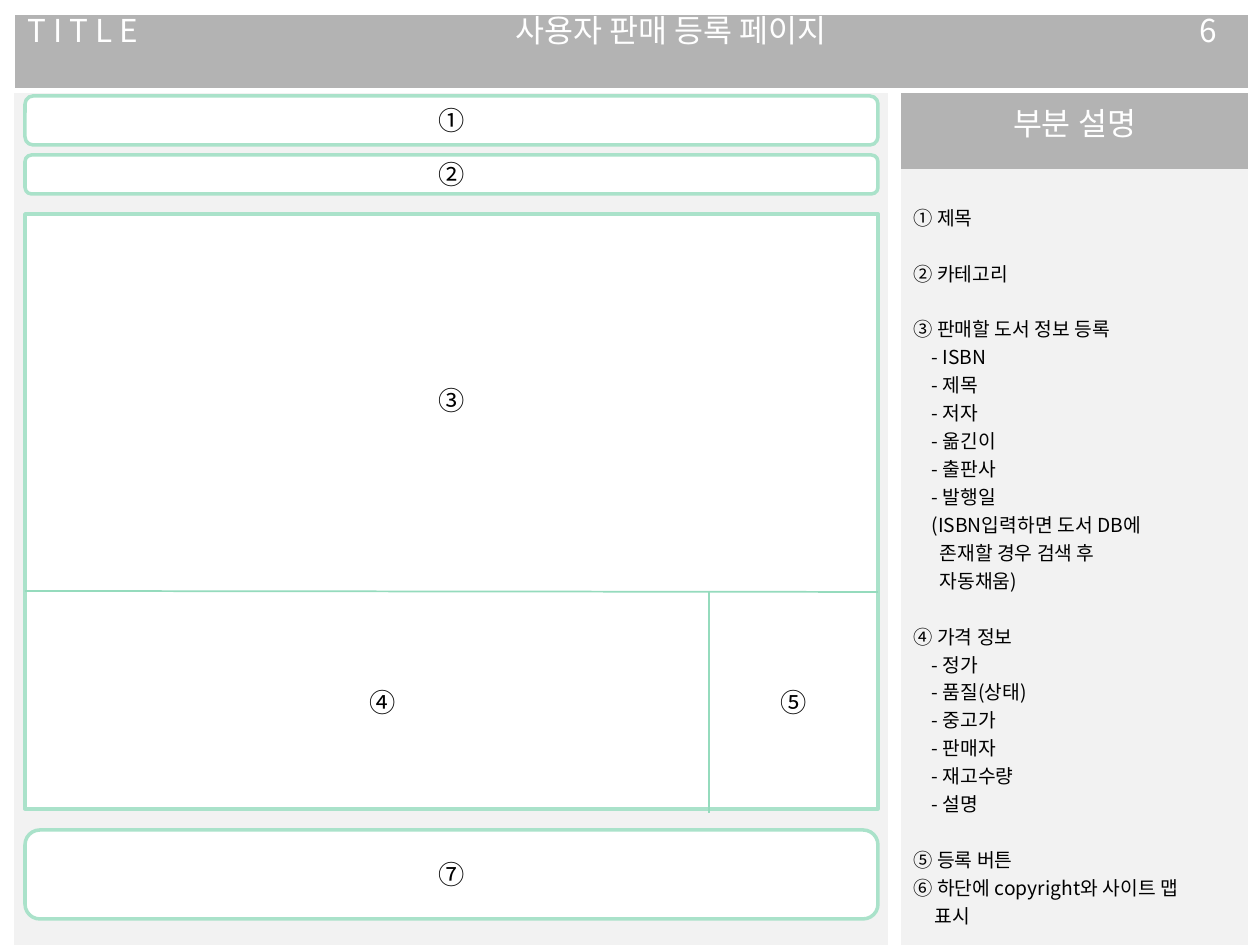
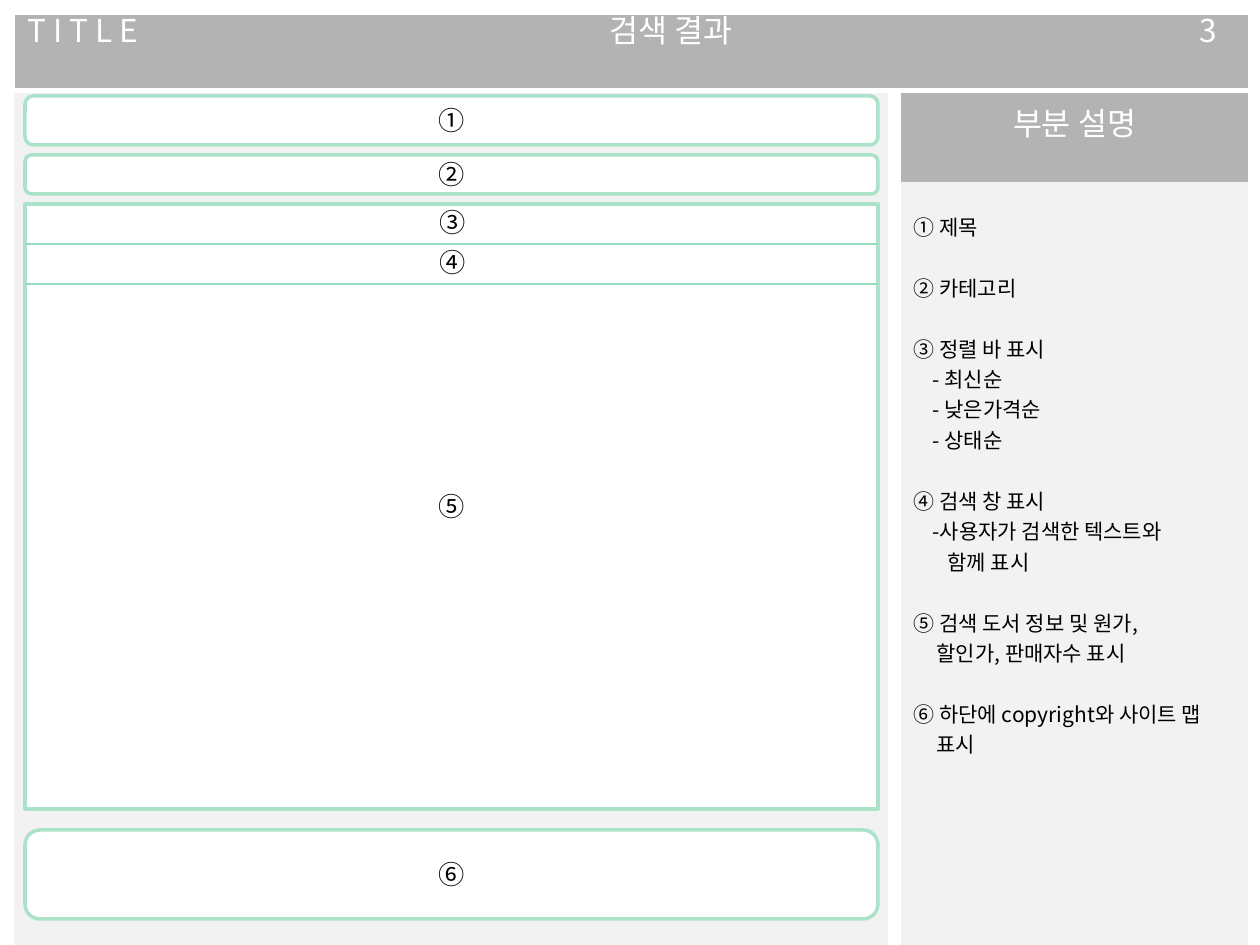
from pptx import Presentation
from pptx.dml.color import RGBColor
from pptx.enum.shapes import MSO_CONNECTOR, MSO_SHAPE
from pptx.enum.text import MSO_ANCHOR, PP_ALIGN
from pptx.oxml.ns import qn
from pptx.util import Emu, Pt
from lxml.etree import SubElement

PX = 914400 / 126
FONT = "Noto Sans CJK KR"
NO_STYLE = "{2D5ABB26-0587-4C30-8999-92F81FD0307C}"
LINE_HEIGHT = 1.45

WHITE = RGBColor(0xFF, 0xFF, 0xFF)
BLACK = RGBColor(0x00, 0x00, 0x00)
BAND = RGBColor(0xB3, 0xB3, 0xB3)
PANEL = RGBColor(0xF2, 0xF2, 0xF2)
MINT = RGBColor(0xAA, 0xE2, 0xCA)
DIVIDER = RGBColor(0x95, 0xDB, 0xBD)

FRAME_LEFT, FRAME_WIDTH = 25, 853
FRAME_RIGHT = FRAME_LEFT + FRAME_WIDTH
FRAME_BOTTOM = 809
PANEL_TOP = 93

REGISTER_NOTES = [
    ["① 제목"],
    ["② 카테고리"],
    ["③ 판매할 도서 정보 등록", (18, "- ISBN"), (18, "- 제목"), (18, "- 저자"),
     (18, "- 옮긴이"), (18, "- 출판사"), (18, "- 발행일"),
     (18, "(ISBN입력하면 도서 DB에"), (26, "존재할 경우 검색 후"), (26, "자동채움)")],
    ["④ 가격 정보", (18, "- 정가"), (18, "- 품질(상태)"), (18, "- 중고가"),
     (18, "- 판매자"), (18, "- 재고수량"), (18, "- 설명")],
    ["⑤ 등록 버튼", "⑥ 하단에 copyright와 사이트 맵", (21, "표시")],
]
SEARCH_NOTES = [
    ["① 제목"],
    ["② 카테고리"],
    ["③ 정렬 바 표시", (19, "- 최신순"), (19, "- 낮은가격순"), (19, "- 상태순")],
    ["④ 검색 창 표시", (19, "-사용자가 검색한 텍스트와"), (34, "함께 표시")],
    ["⑤ 검색 도서 정보 및 원가,", (23, "할인가, 판매자수 표시")],
    ["⑥ 하단에 copyright와 사이트 맵", (23, "표시")],
]


def px(n):
    return Emu(round(n * PX))


def set_text(p, text, size, color, align=PP_ALIGN.CENTER):
    p.text = text
    p.alignment = align
    f = p.font
    f.size, f.name, f.bold = Pt(size), FONT, False
    f.color.rgb = color
    SubElement(p._p.pPr.find(qn("a:defRPr")), qn("a:ea"), typeface=FONT)


def add_grid(s, x, y, cols, rows, fills):
    shape = s.shapes.add_table(len(rows), len(cols), px(x), px(y),
                               px(sum(cols)), px(sum(rows)))
    table = shape.table
    table.first_row = table.horz_banding = False
    table._tbl.tblPr.find(qn("a:tableStyleId")).text = NO_STYLE
    for column, width in zip(table.columns, cols):
        column.width = px(width)
    for row, height, fill in zip(table.rows, rows, fills):
        row.height = px(height)
        for cell in row.cells:
            cell.fill.solid()
            cell.fill.fore_color.rgb = fill
    return table


def add_header(s, title, number):
    table = add_grid(s, 15, 15, [159, 995, 79], [73], [BAND])
    aligns = [PP_ALIGN.LEFT, PP_ALIGN.CENTER, PP_ALIGN.CENTER]
    for cell, text, align in zip(table.rows[0].cells, ["T I T L E", title, number], aligns):
        p = cell.text_frame.paragraphs[0]
        set_text(p, text, 18, WHITE, align)
        p.line_spacing = 0.58


def add_notes_panel(s, groups, size, rows, top_margin):
    table = add_grid(s, 901, PANEL_TOP, [347], rows, [BAND, PANEL])
    set_text(table.cell(0, 0).text_frame.paragraphs[0], "부분 설명", 18, WHITE)
    cell = table.cell(1, 0)
    cell.margin_top = px(top_margin)
    tf = cell.text_frame
    p = tf.paragraphs[0]
    for g, group in enumerate(groups):
        for i, line in enumerate(group):
            if g or i:
                p = tf.add_paragraph()
            indent, text = line if isinstance(line, tuple) else (0, line)
            set_text(p, text, size, BLACK, PP_ALIGN.LEFT)
            p._p.pPr.set("marL", str(px(indent)))
            p._p.pPr.set("indent", "0")
            if g and not i:
                p.space_before = Pt(round(size * LINE_HEIGHT, 1))


def add_frame(s, y, h, label=None, kind=MSO_SHAPE.ROUNDED_RECTANGLE):
    sp = s.shapes.add_shape(kind, px(FRAME_LEFT), px(y), px(FRAME_WIDTH), px(h))
    sp.shadow.inherit = False
    sp.fill.solid()
    sp.fill.fore_color.rgb = WHITE
    sp.line.color.rgb = MINT
    sp.line.width = Pt(2)
    if label:
        sp.text_frame.vertical_anchor = MSO_ANCHOR.MIDDLE
        set_text(sp.text_frame.paragraphs[0], label, 15, BLACK)


def add_divider(s, x1, y1, x2, y2):
    line = s.shapes.add_connector(MSO_CONNECTOR.STRAIGHT, px(x1), px(y1), px(x2), px(y2))
    line.line.color.rgb = DIVIDER
    line.line.width = Pt(1)
    SubElement(line._element.spPr, qn("a:effectLst"))


def add_label(s, x, y, w, text):
    tf = s.shapes.add_textbox(px(x), px(y), px(w), px(44)).text_frame
    tf.word_wrap = True
    set_text(tf.paragraphs[0], text, 15, BLACK)


def add_page(prs, title, number, notes, size, rows, top_margin,
             content_top, content_label, footer_label):
    s = prs.slides.add_slide(prs.slide_layouts[6])
    add_header(s, title, number)
    add_notes_panel(s, notes, size, rows, top_margin)
    add_grid(s, 14, PANEL_TOP, [874], [855], [PANEL])
    add_frame(s, 96, 49, "①")
    add_frame(s, 155, 39, "②")
    add_frame(s, content_top, FRAME_BOTTOM - content_top, content_label, MSO_SHAPE.RECTANGLE)
    add_frame(s, 830, 89, footer_label)
    return s


def main():
    prs = Presentation()
    prs.slide_width, prs.slide_height = px(1260), px(945)

    s = add_page(prs, "사용자 판매 등록 페이지", "6", REGISTER_NOTES, 11, [76, 798], 34,
                 214, None, "⑦")
    add_divider(s, FRAME_LEFT, 591, FRAME_RIGHT, 592)
    add_divider(s, 709, 591, 709, 813)
    add_label(s, 318, 680, 129, "④")
    add_label(s, 759, 680, 69, "⑤")
    add_label(s, 318, 378, 268, "③")

    s = add_page(prs, "검색 결과", "3", SEARCH_NOTES, 12, [89, 792], 29,
                 204, "⑤", "⑥")
    for y, label in [(244, "③"), (284, "④")]:
        add_divider(s, FRAME_LEFT, y, FRAME_RIGHT, y)
        add_label(s, 418, y - 44, 69, label)

    prs.save("out.pptx")


if __name__ == "__main__":
    main()
